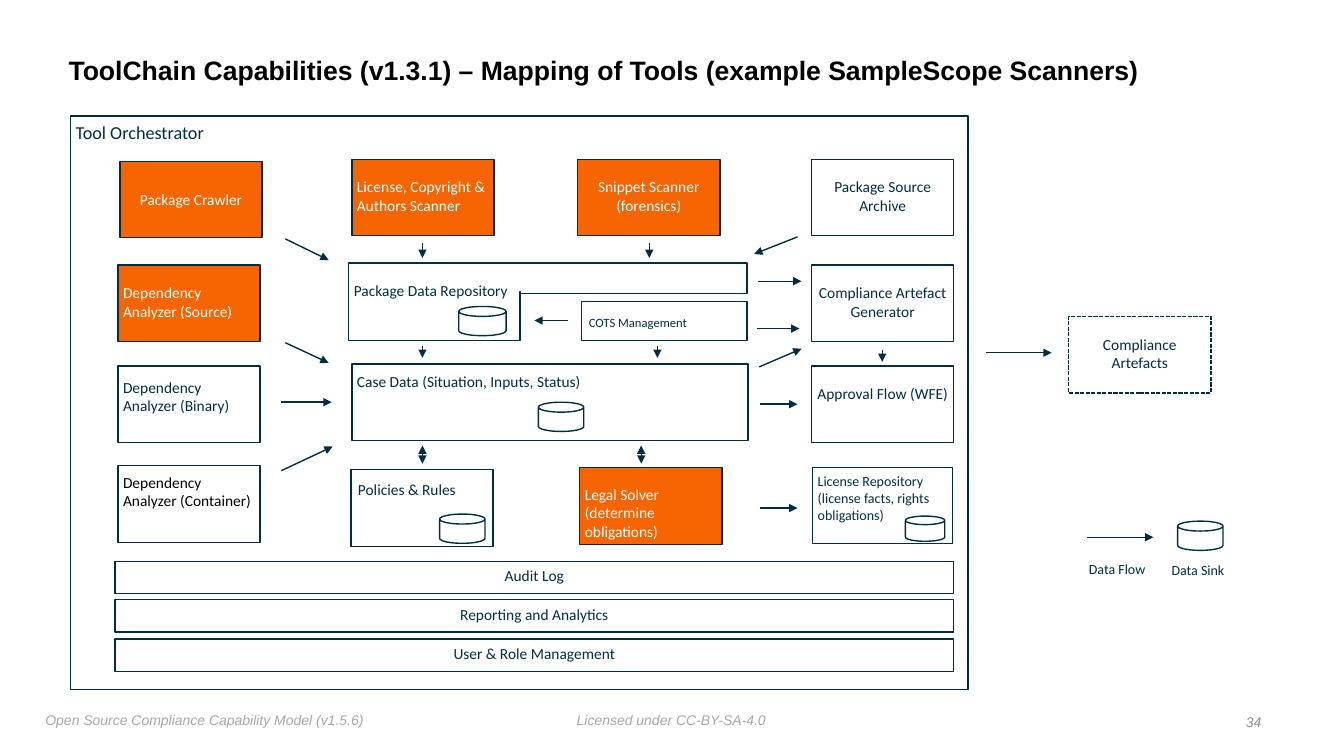
from lxml.etree import SubElement
from pptx import Presentation
from pptx.dml.color import RGBColor
from pptx.enum.dml import MSO_LINE
from pptx.enum.shapes import MSO_CONNECTOR, MSO_SHAPE
from pptx.enum.text import MSO_ANCHOR, PP_ALIGN
from pptx.oxml.ns import qn
from pptx.util import Pt

PX = 9144
NAVY, ORANGE, WHITE, BLACK = "002D41", "F76503", "FFFFFF", "000000"
LEFT, CENTER, RIGHT = PP_ALIGN.LEFT, PP_ALIGN.CENTER, PP_ALIGN.RIGHT

prs = Presentation()
prs.slide_width, prs.slide_height = 1333 * PX, 750 * PX
shapes = prs.slides.add_slide(prs.slide_layouts[6]).shapes


def write(sp, text, size, color, align=LEFT, dx=0, dy=0, font="Calibri", wrap=True):
    tf = sp.text_frame
    tf.word_wrap = wrap
    tf.vertical_anchor = MSO_ANCHOR.TOP
    tf.margin_left, tf.margin_right = (5 + dx) * PX, 5 * PX
    tf.margin_top, tf.margin_bottom = (5 + dy) * PX, 0
    tf.text = text
    for p in tf.paragraphs:
        p.alignment = align
        p.font.size = Pt(size)
        p.font.name = font
        p.font.color.rgb = RGBColor.from_string(color)
    return tf


def draw(kind, x, y, w, h, fill=WHITE, outlined=True):
    sp = shapes.add_shape(kind, x * PX, y * PX, w * PX, h * PX)
    sp.shadow.inherit = False
    sp.fill.solid()
    sp.fill.fore_color.rgb = RGBColor.from_string(fill)
    if outlined:
        sp.line.color.rgb = RGBColor.from_string(NAVY)
        sp.line.width = Pt(1)
    else:
        sp.line.fill.background()
    return sp


title = shapes.add_textbox(63 * PX, 39 * PX, 1075 * PX, 65 * PX)
tf = write(title, "ToolChain Capabilities (v1.3.1) – Mapping of Tools (example SampleScope Scanners)",
           19, BLACK, font="Arial")
tf.vertical_anchor = MSO_ANCHOR.MIDDLE
tf.margin_bottom = 5 * PX
tf.paragraphs[0].line_spacing = 0.9
tf.paragraphs[0].font.bold = True

frame = draw(MSO_SHAPE.RECTANGLE, 70, 115, 890, 569)
write(frame, "Tool Orchestrator", 13, NAVY)

W, H = 141, 76
boxes = [
    ("Package Crawler", 119, 160, W, H, ORANGE, WHITE, 11, CENTER, 0, 24),
    ("License, Copyright & Authors Scanner", 349, 158, W, H, ORANGE, WHITE, 11, LEFT, 0, 13),
    ("Snippet Scanner\n(forensics)", 573, 158, W, H, ORANGE, WHITE, 11, CENTER, 0, 13),
    ("Package Source Archive", 805, 158, W, H, WHITE, NAVY, 11, CENTER, 0, 13),
    ("Dependency Analyzer (Source)", 117, 263, W, H, ORANGE, WHITE, 11, LEFT, 0, 13),
    ("Dependency Analyzer (Binary)", 117, 363, W, H, WHITE, NAVY, 11, LEFT, 0, 7),
    ("Dependency Analyzer (Container)", 117, 462, W, H, WHITE, BLACK, 11, LEFT, 0, 2),
    ("Package Data Repository", 346, 261, 170, 77, WHITE, NAVY, 11, LEFT, 0, 13),
    ("COTS Management", 577, 299, 164, 39, WHITE, NAVY, 9, LEFT, 2, 8),
    ("Case Data (Situation, Inputs, Status)", 349, 361, 393, H, WHITE, NAVY, 11, LEFT, 0, 3),
    ("Policies & Rules", 348, 466, W, H, WHITE, NAVY, 11, LEFT, 2, 5),
    ("Legal Solver (determine obligations)", 575, 464, W, H, ORANGE, WHITE, 11, LEFT, 0, 12),
    ("Compliance Artefact Generator", 805, 263, W, H, WHITE, NAVY, 11, CENTER, 0, 13),
    ("Approval Flow (WFE)", 805, 363, W, H, WHITE, NAVY, 11, CENTER, 0, 13),
    ("License Repository (license facts, rights obligations)",
     806, 464, 139, 75, WHITE, NAVY, 10, LEFT, 0, 0),
    ("Compliance Artefacts", 1060, 314, W, H, WHITE, NAVY, 11, CENTER, 0, 13),
]
for text, x, y, w, h, fill, color, size, align, dx, dy in boxes:
    sp = draw(MSO_SHAPE.RECTANGLE, x, y, w, h, fill)
    write(sp, text, size, color, align, dx, dy)
    if text == "Compliance Artefacts":
        sp.line.dash_style = MSO_LINE.SQUARE_DOT

draw(MSO_SHAPE.RECTANGLE, 516, 261, 225, 30)
draw(MSO_SHAPE.RECTANGLE, 504, 262, 19, 27, outlined=False)

for i, text in enumerate(["Audit Log", "Reporting and Analytics", "User & Role Management"]):
    bar = draw(MSO_SHAPE.RECTANGLE, 114, 557 + 77 * i // 2, 832, 32)
    write(bar, text, 11, NAVY, CENTER)

sinks = [(455, 304, 47, 29), (534, 399, 45, 29), (436, 510, 45, 29),
         (898, 512, 39, 25), (1168, 517, 45, 29)]
for x, y, w, h in sinks:
    can = draw(MSO_SHAPE.CAN, x, y, w, h)
    can.adjustments[0] = 0.34

flows = [
    (283, 237, 326, 258), (283, 340, 326, 360), (279, 399, 329, 399), (279, 467, 330, 443),
    (419, 241, 419, 256), (644, 241, 644, 256), (791, 235, 748, 252),
    (419, 343, 419, 355), (652, 343, 652, 355), (875, 347, 875, 359),
    (752, 279, 795, 279), (751, 326, 793, 326), (753, 364, 795, 346),
    (754, 401, 791, 401), (754, 504, 791, 504), (563, 318, 530, 318),
    (978, 350, 1043, 350), (1078, 533, 1144, 533),
]
two_way = [(419, 460, 419, 442), (636, 460, 636, 442)]
for flow in flows + two_way:
    c = shapes.add_connector(MSO_CONNECTOR.STRAIGHT, *[v * PX for v in flow])
    c.line.color.rgb = RGBColor.from_string(NAVY)
    c.line.width = Pt(1)
    ln = c._element.spPr.find(qn("a:ln"))
    for end in ["headEnd", "tailEnd"] if flow in two_way else ["tailEnd"]:
        SubElement(ln, qn("a:" + end), type="triangle")
    SubElement(c._element.spPr, qn("a:effectLst"))

labels = [
    ("Data Flow", 1075, 551, 72, 27, "Calibri", NAVY, LEFT),
    ("Data Sink", 1157, 552, 70, 27, "Calibri", NAVY, LEFT),
    ("Open Source Compliance Capability Model (v1.5.6)", 40, 701, 332, 27, "Arial", "A7A7A7", LEFT),
    ("Licensed under CC-BY-SA-4.0", 567, 701, 199, 25, "Arial", "A7A7A7", LEFT),
    ("34", 1216, 703, 40, 25, "Arial", "888C91", RIGHT),
]
for text, x, y, w, h, font, color, align in labels:
    sp = shapes.add_textbox(x * PX, y * PX, w * PX, h * PX)
    tf = write(sp, text, 10, color, align, font=font, wrap=text != "34" and False or text == "34")
    tf.paragraphs[0].font.italic = font == "Arial"

prs.save("out.pptx")
